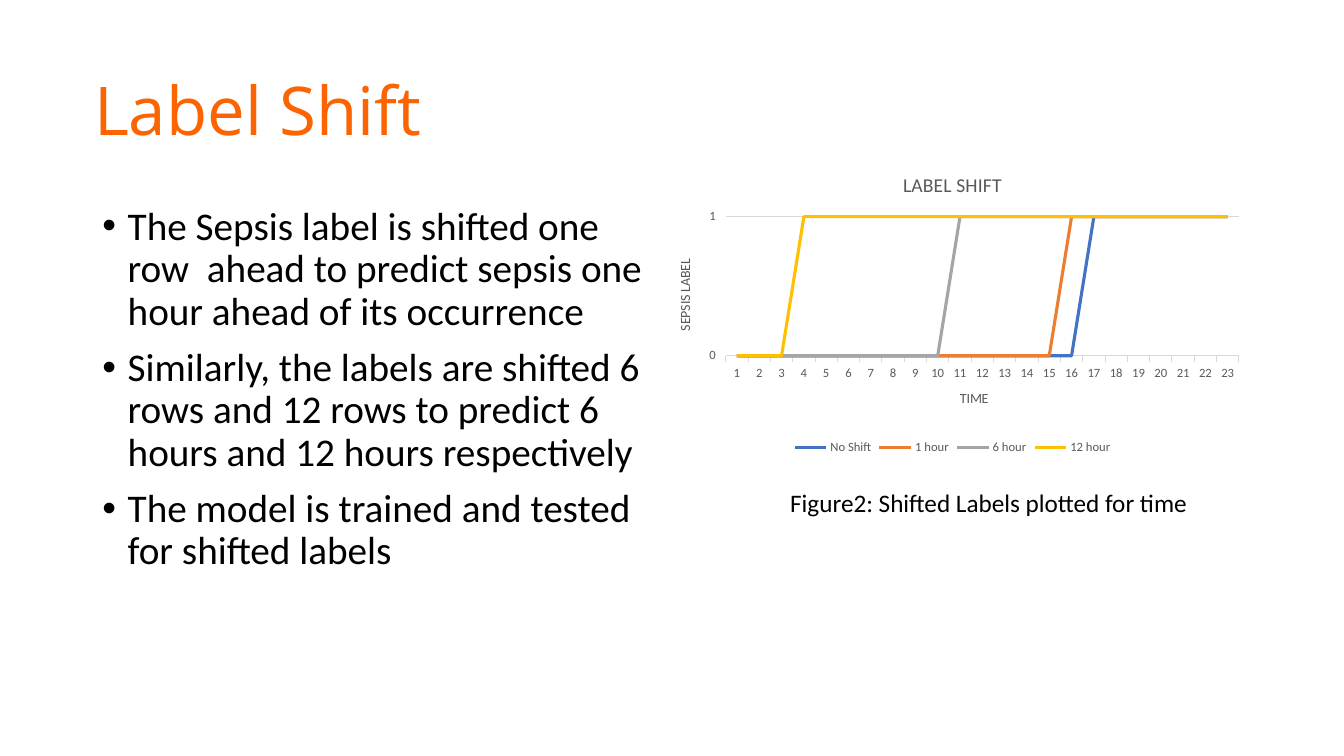
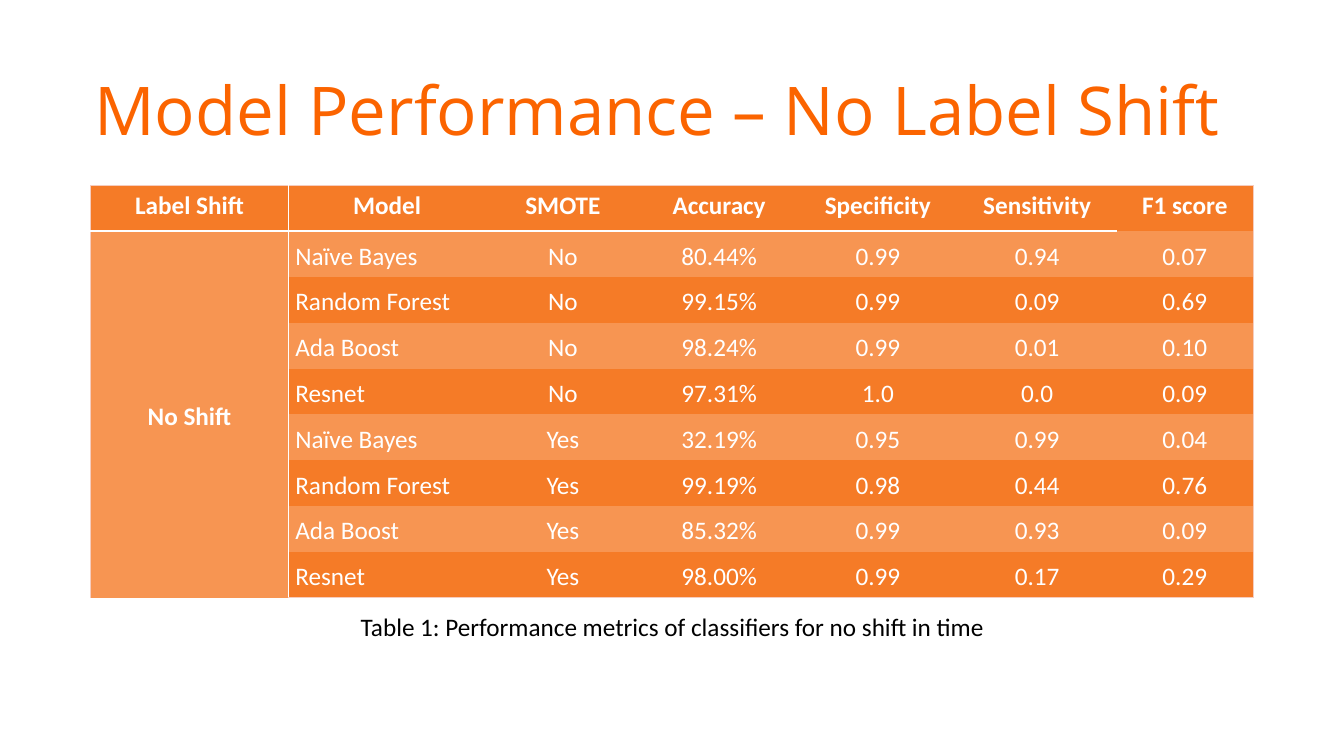
from lxml import etree
from pptx import Presentation
from pptx.chart.data import CategoryChartData
from pptx.dml.color import RGBColor
from pptx.enum.chart import XL_CHART_TYPE as ChartType, XL_LEGEND_POSITION as LegendSide, XL_TICK_MARK as Tick
from pptx.enum.text import MSO_ANCHOR as Anchor, MSO_AUTO_SIZE as AutoSize, PP_ALIGN as Align
from pptx.oxml import parse_xml
from pptx.oxml.ns import nsdecls, qn
from pptx.util import Inches, Pt

COLORS = {name: RGBColor.from_string(value) for name, value in {
    "title": "FB6400", "text": "000000", "white": "FFFFFF",
    "chart_text": "595959", "grid": "D9D9D9",
    "dark_row": "F57B27", "light_row": "F79552", "table_edge": "F6CCBE",
    "No Shift": "4472C4", "1 hour": "ED7D31",
    "6 hour": "A5A5A5", "12 hour": "FFC000"}.items()}
BODY_FONT, TITLE_FONT = "Calibri", "Open Sans"

deck = Presentation()
deck.slide_width, deck.slide_height = Inches(13.33), Inches(7.5)
COL, ROW = deck.slide_width / 40, deck.slide_height / 30


def area(col, row, cols, rows):
    """Left, top, width and height from a 40 by 30 grid."""
    return [round(n) for n in (col * COL, row * ROW, cols * COL, rows * ROW)]


def write(paragraph, text, size, color, font=BODY_FONT, bold=False, align=Align.LEFT):
    paragraph.alignment = align
    run = paragraph.add_run()
    run.text = text
    run.font.size, run.font.name, run.font.bold = Pt(size), font, bold
    run.font.color.rgb = COLORS[color]


# Both slides: title and caption
slides = []
for heading, layout, caption, caption_area in (
        ("Label Shift", 1, "Figure2: Shifted Labels plotted for time",
         (21.6, 19.15, 15.65, 1.6)),
        ("Model Performance – No Label Shift", 5,
         "Table 1: Performance metrics of classifiers for no shift in time",
         (10.14, 24.08, 19.74, 1.6))):
    slide = deck.slides.add_slide(deck.slide_layouts[layout])
    title = slide.shapes.title
    title.left, title.top, title.width, title.height = area(1, 2.5, 36.2, 3.65)
    title_frame = title.text_frame
    title_frame.auto_size, title_frame.vertical_anchor = AutoSize.NONE, Anchor.MIDDLE
    heading_line = title_frame.paragraphs[0]
    write(heading_line, heading, 48, "title", TITLE_FONT)
    heading_line._p.get_or_add_pPr().set("marL", str(Inches(0.5)))
    caption_frame = slide.shapes.add_textbox(*area(*caption_area)).text_frame
    caption_frame.word_wrap = True
    write(caption_frame.paragraphs[0], caption, 18, "text", align=Align.CENTER)
    slides.append(slide)
shift_slide, performance_slide = slides

# Label shift: bullet list
points = shift_slide.placeholders[1]
points.left, points.top, points.width, points.height = area(2.75, 8, 17.3, 19.05)
points_frame = points.text_frame
points_frame.auto_size = AutoSize.NONE
for number, point in enumerate((
        "The Sepsis label is shifted one row  ahead to predict sepsis one hour ahead of its occurrence",
        "Similarly, the labels are shifted 6 rows and 12 rows to predict 6 hours and 12 hours respectively",
        "The model is trained and tested for shifted labels")):
    line = points_frame.add_paragraph() if number else points_frame.paragraphs[0]
    write(line, point, 28, "text")
    line.line_spacing, line.space_before = 0.9, Pt(10)
    indents = line._p.get_or_add_pPr()
    indents.set("marL", str(Inches(0.25)))
    indents.set("indent", str(-Inches(0.25)))

# Label shift: chart, each label turning from 0 to 1 at its own hour
HOURS = range(1, 24)
label_data = CategoryChartData(number_format="0")
label_data.categories = [str(hour) for hour in HOURS]
for shift, onset in (("No Shift", 17), ("1 hour", 16), ("6 hour", 11), ("12 hour", 4)):
    label_data.add_series(shift, [int(hour >= onset) for hour in HOURS])
chart = shift_slide.shapes.add_chart(
    ChartType.LINE, *area(19.47, 6.2, 17.76, 12), label_data).chart
chart.font.size, chart.font.name = Pt(9), BODY_FONT
chart.font.color.rgb = COLORS["chart_text"]
time_axis, label_axis = chart.category_axis, chart.value_axis
for titled, text, size in ((chart, "LABEL SHIFT", 14), (time_axis, "TIME", 10),
                           (label_axis, "SEPSIS LABEL", 10)):
    part_title = titled.chart_title if titled is chart else titled.axis_title
    write(part_title.text_frame.paragraphs[0], text, size, "chart_text", align=Align.CENTER)
chart.chart_title.include_in_layout = False
chart.has_legend = True
chart.legend.position, chart.legend.include_in_layout = LegendSide.BOTTOM, False
label_axis.minimum_scale, label_axis.maximum_scale, label_axis.major_unit = 0, 1, 1
label_axis.format.line.fill.background()
time_axis.major_tick_mark = label_axis.major_tick_mark = Tick.OUTSIDE
for rule in (time_axis.format.line, label_axis.major_gridlines.format.line):
    rule.color.rgb, rule.width = COLORS["grid"], Pt(0.75)
chart.plots[0].vary_by_categories = False
for series in chart.plots[0].series:
    series.smooth = False
    series.format.line.color.rgb, series.format.line.width = COLORS[series.name], Pt(2.25)

# Fixed plot area within the chart
plot_area = chart._chartSpace.chart.plotArea
for old_layout in plot_area.findall(qn("c:layout")):
    plot_area.remove(old_layout)
plot_area.insert(0, parse_xml(
    f'<c:layout {nsdecls("c")}><c:manualLayout><c:layoutTarget val="inner"/>'
    '<c:xMode val="edge"/><c:yMode val="edge"/><c:x val="0.12"/><c:y val="0.2"/>'
    '<c:w val="0.86"/><c:h val="0.46"/></c:manualLayout></c:layout>'))

# Model performance: table
HEADER = ("Label Shift", "Model", "SMOTE", "Accuracy", "Specificity", "Sensitivity", "F1 score")
RESULTS = (
    ("No Shift", "Naïve Bayes", "No", "80.44%", "0.99", "0.94", "0.07"),
    ("", "Random Forest", "No", "99.15%", "0.99", "0.09", "0.69"),
    ("", "Ada Boost", "No", "98.24%", "0.99", "0.01", "0.10"),
    ("", "Resnet", "No", "97.31%", "1.0", "0.0", "0.09"),
    ("", "Naïve Bayes", "Yes", "32.19%", "0.95", "0.99", "0.04"),
    ("", "Random Forest", "Yes", "99.19%", "0.98", "0.44", "0.76"),
    ("", "Ada Boost", "Yes", "85.32%", "0.99", "0.93", "0.09"),
    ("", "Resnet", "Yes", "98.00%", "0.99", "0.17", "0.29"))
rows = (HEADER,) + RESULTS
last_row, last_col = len(rows) - 1, len(HEADER) - 1
metrics = performance_slide.shapes.add_table(
    len(rows), len(HEADER), *area(2.7, 7.36, 34.59, 16.36)).table
metrics.horz_banding = False
metrics._tbl.tblPr[0].text = "{2D5ABB26-0587-4C30-8999-92F81FD0307C}"
for column, cols in zip(metrics.columns, (5.88, 5.88, 4.59, 4.71, 4.74, 4.74, 4.05)):
    column.width = round(cols * COL)
metrics.cell(1, 0).merge(metrics.cell(last_row, 0))
for r, row in enumerate(rows):
    for c, text in enumerate(row):
        cell = metrics.cell(r, c)
        cell.margin_left = cell.margin_right = Inches(0.07)
        cell.margin_top = cell.margin_bottom = 0
        cell.vertical_anchor = Anchor.MIDDLE if r else Anchor.TOP
        if text:
            entry = cell.text_frame.paragraphs[0]
            write(entry, text, 18, "white", bold=r == 0 or c == 0,
                  align=Align.LEFT if r and c == 1 else Align.CENTER)
            entry.line_spacing = 1.15
        # Pale outer edge, white rules under the header and beside the first column
        edge = ("table_edge", 0.5)
        borders = {
            "lnL": edge if c == 0 else None,
            "lnR": ("white", 1) if c == 0 else edge if c == last_col else None,
            "lnT": edge if r == 0 else None,
            "lnB": ("white", 1.5) if r == 0 and c < last_col else edge if r == last_row else None}
        for side, border in borders.items():
            if border:
                color, width = border
                ln = etree.SubElement(cell._tc.get_or_add_tcPr(), qn(f"a:{side}"), w=str(Pt(width)))
                solid = etree.SubElement(ln, qn("a:solidFill"))
                etree.SubElement(solid, qn("a:srgbClr"), val=str(COLORS[color]))
        cell.fill.solid()
        is_light = r % 2 == 1 or (r and c == 0)
        cell.fill.fore_color.rgb = COLORS["light_row" if is_light else "dark_row"]

deck.save("out.pptx")
